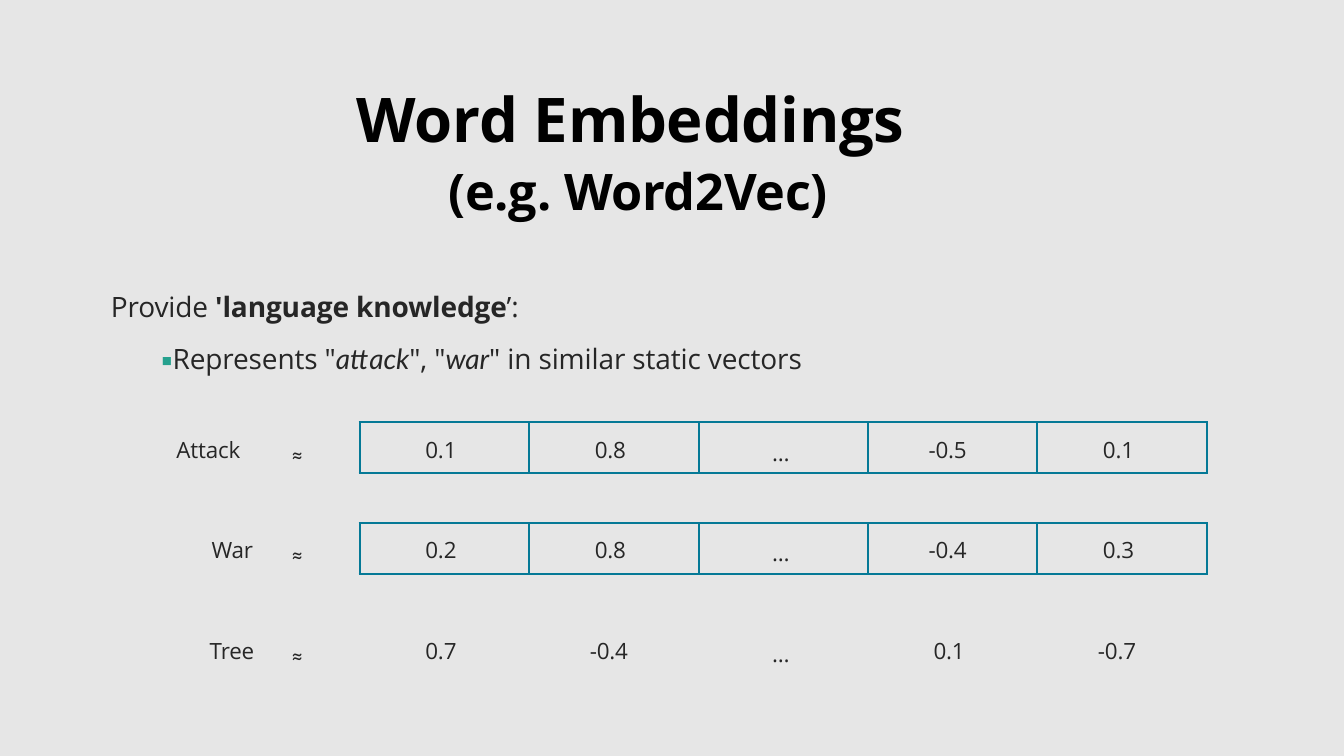
"""Build a slide that shows word embeddings as rows of vector values."""
from pptx import Presentation
from pptx.dml.color import RGBColor
from pptx.enum import shapes, text
from pptx.oxml import parse_xml
from pptx.oxml.ns import nsdecls
from pptx.util import Pt

THEME = {
    "background": "E6E6E6", "rule": "057996", "ink": "262626",
    "title": "000000", "bullet": "25A18E",
    "font": "Open Sans", "emphasis": "Lato", "symbol": "Karla",
    "title_size": 44, "subtitle_size": 36, "body_size": 20, "value_size": 16,
    "rule_width": 1.44, "tracking": -0.1, "title_tracking": -0.2, "symbol_tracking": 2.7,
}

HEADINGS = [
    ("Word Embeddings", (254.9, 35.3, 473, 69.1), "title_size", 75.6),
    ("(e.g. Word2Vec)", (320.4, 95.8, 326.2, 56.2), "subtitle_size", 61.6),
]
STATEMENTS = [
    ((79.2, 195.1, 393.8, 33.8),
     [("Provide ", ""), ("'language knowledge", "bold"), ("’:", "")]),
    ((115.2, 231.8, 632.2, 33.8),
     [("▪", "bullet"), ('Represents "', ""), ("attack", "italic"), ('", "', ""),
      ("war", "italic"), ('" in similar static vectors', "")]),
]
VECTORS = [
    ("Attack", 126, 61.2, ["0.1", "0.8", "…", "-0.5", "0.1"], True),
    ("War", 151.2, 39.6, ["0.2", "0.8", "…", "-0.4", "0.3"], True),
    ("Tree", 149.8, 41.8, ["0.7", "-0.4", "…", "0.1", "-0.7"], False),
]

GRID_LEFT, GRID_TOP = 257, 301.7
CELL_WIDTH, CELL_HEIGHT, ROW_PITCH = 121, 36, 72
FIRST_CENTRE, VALUE_TOP, SYMBOL_DROP = 317.9, 302.4, 2.2
VALUE_HEIGHT, VALUE_SPACING = 25.2, 28
VALUE_WIDTHS = {1: 16.6, 3: 28.1, 4: 35.3}


def color(name):
    return RGBColor.from_string(THEME[name])


def add_text(slide, box, runs, size, spacing, ink="ink", font="font",
             bold=False, tracking="tracking"):
    shape = slide.shapes.add_textbox(*map(Pt, box))
    frame = shape.text_frame
    frame.margin_left = frame.margin_top = frame.margin_right = frame.margin_bottom = 0
    frame.word_wrap = True
    frame.auto_size = text.MSO_AUTO_SIZE.SHAPE_TO_FIT_TEXT
    paragraph = frame.paragraphs[0]
    paragraph.line_spacing = Pt(spacing)
    paragraph.font.size = Pt(THEME[size])
    paragraph.font.name = THEME[font]
    paragraph.font.bold = bold
    paragraph.font.color.rgb = color(ink)
    for words, style in runs:
        run = paragraph.add_run()
        run.text = words
        run._r.get_or_add_rPr().set("spc", str(round(THEME[tracking] * 100)))
        if style == "bold":
            run.font.bold = True
        elif style == "italic":
            run.font.italic = True
            run.font.name = THEME["emphasis"]
        elif style == "bullet":
            run.font.color.rgb = color("bullet")


def add_rule(slide, *ends):
    rule = slide.shapes.add_connector(shapes.MSO_CONNECTOR.STRAIGHT, *map(Pt, ends))
    rule.line.color.rgb = color("rule")
    rule.line.width = Pt(THEME["rule_width"])
    rule._element.spPr.append(parse_xml(f"<a:effectLst {nsdecls('a')}/>"))


def add_grid(slide, top, columns):
    overhang = THEME["rule_width"] / 2
    right, bottom = GRID_LEFT + columns * CELL_WIDTH, top + CELL_HEIGHT
    for column in range(columns + 1):
        x = GRID_LEFT + column * CELL_WIDTH
        add_rule(slide, x, top, x, bottom)
    for y in (top, bottom):
        add_rule(slide, GRID_LEFT - overhang, y, right + overhang, y)


def add_vector(slide, row, word, left, width, values, framed):
    offset = row * ROW_PITCH
    top = VALUE_TOP + offset
    if framed:
        add_grid(slide, GRID_TOP + offset, len(values))
    add_text(slide, (left, top, width, VALUE_HEIGHT), [(word, "")],
             "value_size", VALUE_SPACING)
    add_text(slide, (208.1, top + SYMBOL_DROP, 15.1, 25.9), [("≈", "")],
             "value_size", VALUE_SPACING, font="symbol", tracking="symbol_tracking")
    for column, value in enumerate(values):
        value_width = VALUE_WIDTHS[len(value)]
        value_left = FIRST_CENTRE + column * CELL_WIDTH - value_width / 2
        drop = SYMBOL_DROP if value == "…" else 0
        add_text(slide, (value_left, top + drop, value_width, VALUE_HEIGHT),
                 [(value, "")], "value_size", VALUE_SPACING)


def main():
    presentation = Presentation()
    presentation.slide_width, presentation.slide_height = Pt(960), Pt(540)
    slide = presentation.slides.add_slide(presentation.slide_layouts[6])
    slide.background.fill.solid()
    slide.background.fill.fore_color.rgb = color("background")
    for heading, box, size, spacing in HEADINGS:
        add_text(slide, box, [(heading, "")], size, spacing, ink="title",
                 bold=True, tracking="title_tracking")
    for box, runs in STATEMENTS:
        add_text(slide, box, runs, "body_size", 36)
    for row, vector in enumerate(VECTORS):
        add_vector(slide, row, *vector)
    presentation.save("out.pptx")


if __name__ == "__main__":
    main()
